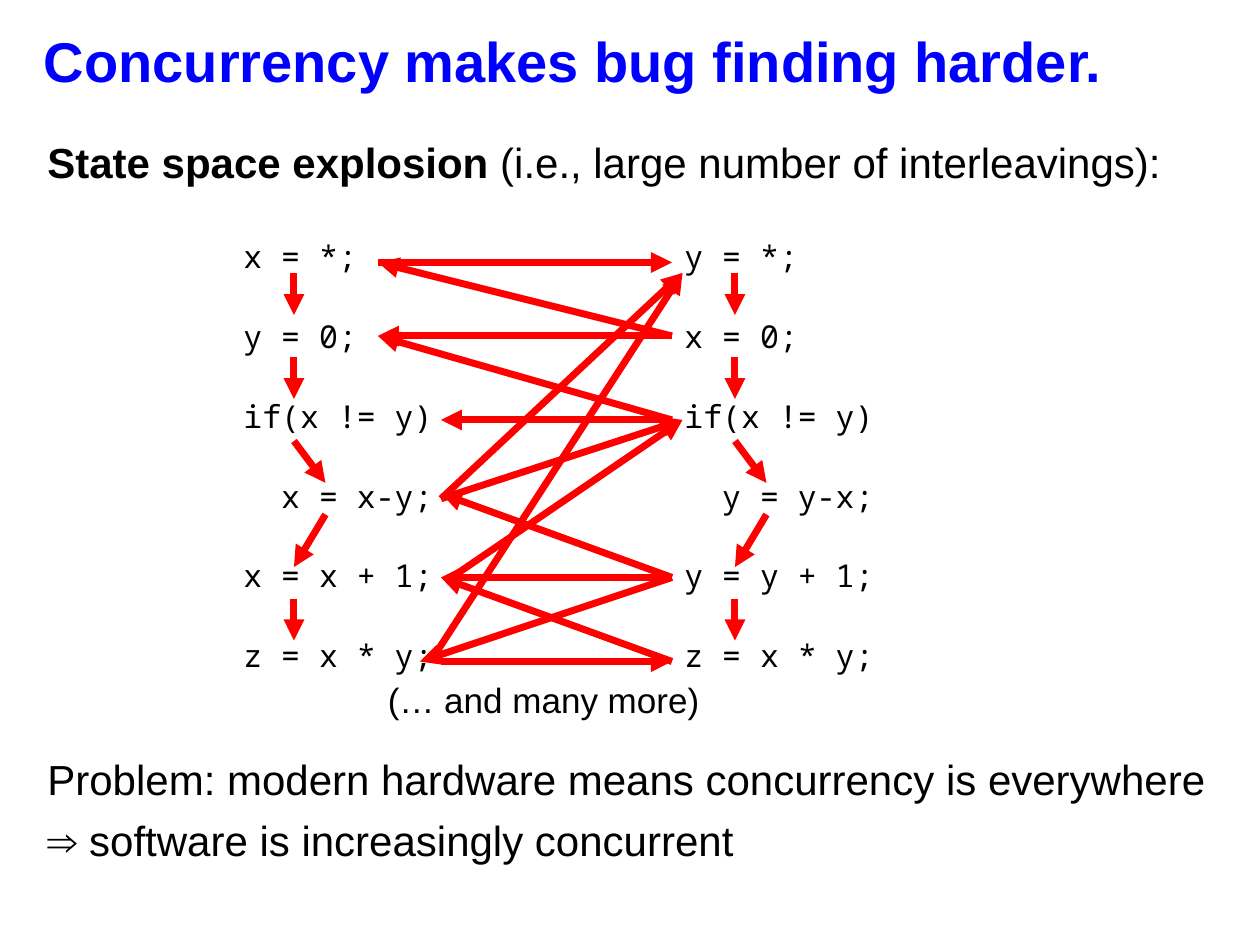
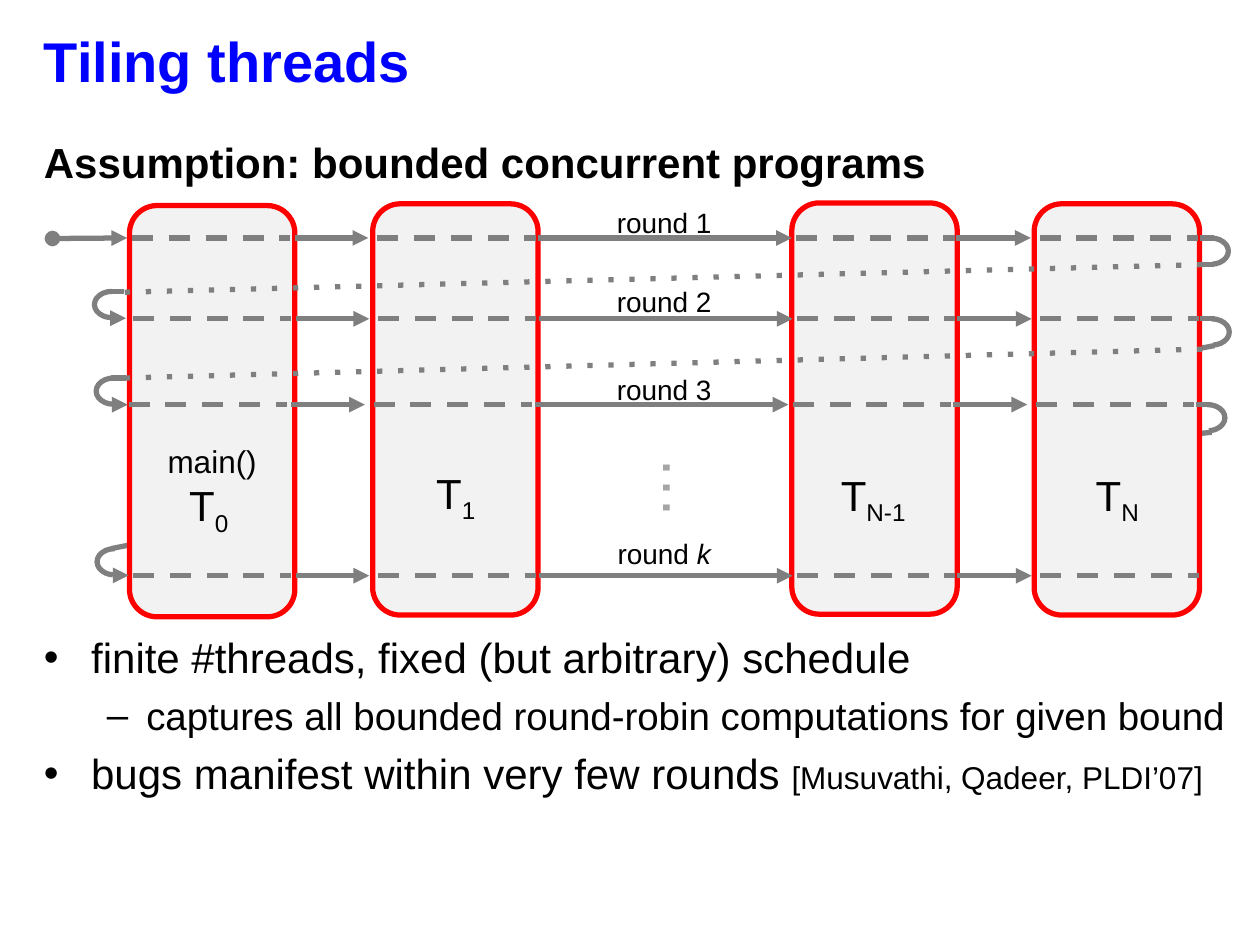
from pptx import Presentation
from pptx.dml.color import RGBColor
from pptx.enum.shapes import MSO_CONNECTOR, MSO_SHAPE
from pptx.enum.text import MSO_ANCHOR, PP_ALIGN
from pptx.oxml.ns import qn
from pptx.util import Pt
from lxml.etree import SubElement

BLUE = RGBColor(0x00, 0x00, 0xFF)
RED = RGBColor(0xFF, 0x00, 0x00)
BLACK = RGBColor(0x00, 0x00, 0x00)
GREY = RGBColor(0x7F, 0x7F, 0x7F)
SILVER = RGBColor(0xA5, 0xA5, 0xA5)
PALE = RGBColor(0xF2, 0xF2, 0xF2)
SANS = "Arial"
MONO = "Noto Sans Mono"


def add_run(para, text, size, color=BLACK, font=SANS, bold=False, slant=False, sub=False):
    run = para.add_run()
    run.text = text
    face = run.font
    face.name, face.size, face.bold, face.italic = font, Pt(size), bold, slant
    face.color.rgb = color
    if sub:
        run._r.get_or_add_rPr().set("baseline", "-25000")


def add_box(slide, left, top, width, height):
    box = slide.shapes.add_textbox(Pt(left), Pt(top), Pt(width), Pt(height))
    box.text_frame.word_wrap = True
    return box


def add_para(frame, first=False, before=0, align=PP_ALIGN.LEFT):
    para = frame.paragraphs[0] if first else frame.add_paragraph()
    para.space_before = Pt(before)
    para.alignment = align
    return para


def indent(para, left, hang=0, mark=None):
    props = para._p.get_or_add_pPr()
    props.set("marL", str(Pt(left)))
    props.set("indent", str(-Pt(hang)))
    if mark:
        SubElement(props, qn("a:buFont"), typeface=SANS)
        SubElement(props, qn("a:buChar"), char=mark)


def add_title(slide, text):
    box = add_box(slide, 18, 6, 696, 57)
    box.text_frame.vertical_anchor = MSO_ANCHOR.MIDDLE
    add_run(add_para(box.text_frame, True), text, 32, BLUE, bold=True)


def add_body(slide, left, width):
    frame = add_box(slide, left, 72, width, 426).text_frame
    frame.margin_top = Pt(6)
    return frame


def add_label(slide, left, top, width, height):
    frame = add_box(slide, left, top, width, height).text_frame
    return add_para(frame, True, align=PP_ALIGN.CENTER)


def add_line(slide, start, end, color=GREY, width=3, dash=None, head=None, tail=None):
    line = slide.shapes.add_connector(
        MSO_CONNECTOR.STRAIGHT, *(Pt(n) for n in (*start, *end)))
    line.line.color.rgb = color
    line.line.width = Pt(width)
    edge = line.line._get_or_add_ln()
    if dash:
        SubElement(edge, qn("a:prstDash"), val=dash)
    if head:
        SubElement(edge, qn("a:headEnd"), type=head)
    if tail:
        SubElement(edge, qn("a:tailEnd"), type=tail)
    SubElement(line._element.spPr, qn("a:effectLst"))


def add_flow(slide, start, end):
    add_line(slide, start, end, RED, 4, tail="triangle")


def add_arc(slide, left, top, flip=False):
    arc = slide.shapes.add_shape(MSO_SHAPE.ARC, Pt(left), Pt(top), Pt(20), Pt(15))
    arc.shadow.inherit = False
    arc.adjustments[0] = 162
    arc.adjustments[1] = 49.69
    arc.fill.background()
    arc.line.color.rgb = GREY
    arc.line.width = Pt(3)
    if flip:
        arc._element.spPr.find(qn("a:xfrm")).set("flipH", "1")


def add_thread(slide, left, top):
    tile = slide.shapes.add_shape(
        MSO_SHAPE.ROUNDED_RECTANGLE, Pt(left), Pt(top), Pt(94.5), Pt(235))
    tile.shadow.inherit = False
    tile.fill.solid()
    tile.fill.fore_color.rgb = PALE
    tile.line.color.rgb = RED
    tile.line.width = Pt(3)


def add_code(slide, left, lines):
    frame = add_box(slide, left, 132, 135, 259).text_frame
    for i, text in enumerate(lines):
        para = add_para(frame, i == 0, 24 if i else 0)
        if i == 3:
            indent(para, 21.6)
        add_run(para, text, 18, font=MONO)
    x = left + 36
    for y in (156, 204, 342):
        add_flow(slide, (x, y), (x, y + 24))
    add_flow(slide, (x, 252), (x + 18, 276))
    add_flow(slide, (x + 18, 294), (x, 324))


def add_round(slide, y, shift):
    for x in (75.5, 215.5, 455, 594):
        add_line(slide, (x + shift, y), (x + shift + 90.5, y), dash="dash")
    for start, end in ((168.5, 210.5), (546.5, 589), (307.5, 452.5)):
        add_line(slide, (start + shift, y), (end + shift, y), tail="triangle")


def add_turn(slide, y, shift):
    add_arc(slide, 682 + shift, y)
    add_line(slide, (685.5 + shift, y), (694 + shift, y))


def add_entry(slide, left, top, stub):
    add_arc(slide, left, top, flip=True)
    add_line(slide, (left + 10, top + 15.3), (left + 18, top + 15.3), tail="triangle")
    if stub:
        add_line(slide, (left + 8.5, top), (left + 17, top))


def build_bugs(slide):
    add_title(slide, "Concurrency makes bug finding harder.")
    body = add_body(slide, 20, 690)
    para = add_para(body, True)
    add_run(para, "State space explosion ", 24, bold=True)
    add_run(para, "(i.e., large number of interleavings):", 24)
    para = add_para(body, before=281)
    indent(para, 194.5)
    add_run(para, "(… and many more)", 20)
    add_run(add_para(body, before=18.6),
            "Problem: modern hardware means concurrency is everywhere", 24)
    add_run(add_para(body, before=6), "⇒ software is increasingly concurrent", 24)

    add_code(slide, 132, ("x = *;", "y = 0;", "if(x != y)", "x = x-y;",
                          "x = x + 1;", "z = x * y;"))
    add_code(slide, 384, ("y = *;", "x = 0;", "if(x != y)", "y = y-x;",
                          "y = y + 1;", "z = x * y;"))
    jumps = (
        ((246, 378), (390, 156)), ((216, 150), (384, 150)),
        ((384, 192), (216, 192)), ((252, 285), (390, 240)),
        ((384, 330), (252, 330)), ((252, 378), (384, 378)),
        ((252, 285), (390, 156)), ((384, 240), (252, 240)),
        ((258, 330), (390, 240)), ((384, 330), (240, 378)),
        ((384, 378), (252, 330)), ((384, 330), (252, 282)),
        ((384, 240), (216, 192)), ((384, 192), (216, 150)),
    )
    for start, end in jumps:
        add_flow(slide, start, end)


def build_tiles(slide):
    add_title(slide, "Tiling threads")
    body = add_body(slide, 18, 696)
    add_run(add_para(body, True), "Assumption: bounded concurrent programs", 24, bold=True)
    para = add_para(body, before=254)
    indent(para, 27, 27, "•")
    add_run(para, "finite #threads, fixed (but arbitrary) schedule", 24)
    para = add_para(body, before=6)
    indent(para, 58.5, 22.5, "–")
    add_run(para, "captures all bounded round-robin computations for given bound", 22)
    para = add_para(body, before=5.2)
    indent(para, 27, 27, "•")
    add_run(para, "bugs manifest within very few rounds ", 24)
    add_run(para, "[Musuvathi, Qadeer, PLDI’07]", 18)

    for start, end in (((603.5, 256.5), (692.5, 247)), ((597.5, 216), (694, 197.5)),
                       ((63.5, 313.5), (168.5, 293))):
        add_line(slide, start, end)
    for left, top in ((74, 117.5), (213, 116.5), (452.5, 116), (591, 116.5)):
        add_thread(slide, left, top)

    rounds = ((136, 0), (182.2, 0.5), (231.2, -2), (329, 0.5))
    for y, shift in rounds:
        add_round(slide, y, shift)
    for y, shift in rounds[:3]:
        add_turn(slide, y, shift)
    add_line(slide, (685.5, 151.2), (694, 151.2))
    for start, end in ((167, 151.2), (216, 199.5)):
        add_line(slide, (71.3, start), (687.5, end), dash="dot")
    for left, top, stub in ((54, 166.5, True), (55, 216, True), (55.5, 313.5, False)):
        add_entry(slide, left, top, stub)
    add_line(slide, (30, 136.3), (72.7, 136), head="oval", tail="triangle")

    para = add_label(slide, 82, 249, 78.5, 44)
    add_run(para, "main()", 18)
    name = para._parent.add_paragraph()
    name.alignment = PP_ALIGN.CENTER
    add_run(name, "T", 24)
    add_run(name, "0 ", 24, sub=True)
    for left, top, mark in ((226, 263.5, "1"), (464.5, 264.5, "N-1"), (604, 264.5, "N")):
        para = add_label(slide, left, top, 69, 27.5)
        add_run(para, "T", 24)
        add_run(para, mark, 24, sub=True)

    dots = add_box(slide, 361.5, 253.5, 63.5, 51)
    dots.rotation = 90
    dots.text_frame.vertical_anchor = MSO_ANCHOR.MIDDLE
    add_run(add_para(dots.text_frame, True, align=PP_ALIGN.CENTER), "…", 36, SILVER)
    for top, mark in ((113.8, "1"), (159.2, "2"), (209.5, "3"), (303.2, "k")):
        para = add_label(slide, 319, top, 121, 20)
        add_run(para, "round ", 16)
        add_run(para, mark, 16, slant=mark == "k")


def main():
    deck = Presentation()
    deck.slide_width, deck.slide_height = Pt(720), Pt(540)
    blank = deck.slide_layouts[6]
    for build in (build_bugs, build_tiles):
        build(deck.slides.add_slide(blank))
    deck.save("out.pptx")


if __name__ == "__main__":
    main()
